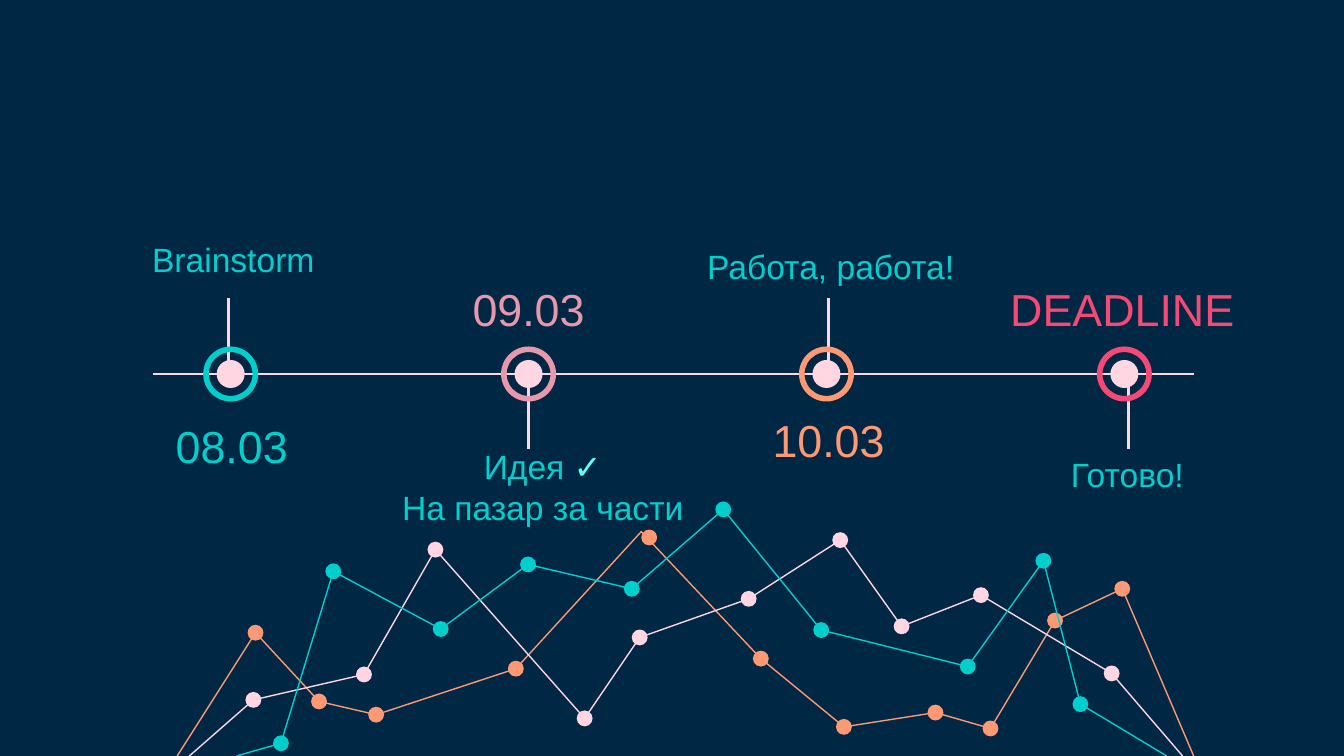
from lxml import etree
from pptx import Presentation
from pptx import util as u
from pptx.dml.color import RGBColor
from pptx.enum import shapes, text
from pptx.oxml.ns import qn


class Theme:
    navy = RGBColor.from_string("002845")
    teal = RGBColor.from_string("00CFCC")
    aqua = RGBColor.from_string("5EFFFD")
    blush = RGBColor.from_string("FFD6E1")
    rose = RGBColor.from_string("E898AC")
    orange = RGBColor.from_string("FF9973")
    red = RGBColor.from_string("F64975")
    font = "Arial"
    note_size = u.Pt(18)
    date_size = u.Pt(24)
    axis_width = u.Pt(1.5)
    trend_width = u.Pt(0.75)


TOP, MIDDLE, BOTTOM = (text.MSO_ANCHOR.TOP, text.MSO_ANCHOR.MIDDLE,
                       text.MSO_ANCHOR.BOTTOM)

# All lengths below are in centimetres.
SLIDE_W, SLIDE_H = 25.4, 14.29
AXIS_Y, AXIS_LEFT, AXIS_RIGHT = 7.07, 2.9, 22.56
FIRST_STATION, STATION_STEP = 4.36, 5.63
FIRST_STALK, STALK_STEP = 4.32, 5.67
STALK_UP, STALK_DOWN = (5.64, 6.91), (7.24, 8.48)
DOT, RING, MARKER = 0.53, 1.04, 0.3
RING_THICKNESS = 0.102
INSET = 0.25

# Each trend: colour, where it meets the bottom edge, and its points.
TRENDS = [
    (Theme.orange, (3.35, 22.56),
     [(4.83, 11.96), (6.03, 13.26), (7.11, 13.51), (9.75, 12.64),
      (12.12, 10.05), (14.38, 12.45), (15.95, 13.74), (17.68, 13.47),
      (18.72, 13.77), (19.94, 11.73), (21.21, 11.13)]),
    (Theme.blush, (3.58, 22.35),
     [(4.79, 13.23), (6.88, 12.75), (8.23, 10.39), (11.05, 13.58),
      (12.09, 12.05), (14.15, 11.32), (15.88, 10.21), (17.04, 11.84),
      (18.54, 11.25), (21.01, 12.73)]),
    (Theme.teal, (4.47, 22.05),
     [(5.31, 14.05), (6.3, 10.8), (8.33, 11.89), (9.98, 10.67),
      (11.94, 11.13), (13.67, 9.63), (15.52, 11.91), (18.29, 12.6),
      (19.72, 10.6), (20.42, 13.31)]),
]
# The marker of the orange peak sits beside its line.
SHIFTED_MARKERS = {(12.12, 10.05): (12.27, 10.16)}

STATIONS = [
    (Theme.teal, STALK_UP),
    (Theme.rose, STALK_DOWN),
    (Theme.orange, STALK_UP),
    (Theme.red, STALK_DOWN),
]

# Each label: box, anchor, size, lines of (words, colour, bold).
LABELS = [
    ((2.11, 4.27, 4.6, 1.47), TOP, Theme.note_size,
     [[("Brainstorm", Theme.teal, False)]]),
    ((18.69, 8.41, 5.23, 1.19), BOTTOM, Theme.note_size,
     [[("Готово!", Theme.teal, False)]]),
    ((7.11, 9.02, 6.3, 1.19), BOTTOM, Theme.note_size,
     [[("Идея ", Theme.teal, False), ("✓", Theme.aqua, True)],
      [("На пазар за части", Theme.teal, False)]]),
    ((12.73, 4.39, 5.94, 1.19), TOP, Theme.note_size,
     [[("Работа, работа!", Theme.teal, False)]]),
    ((2.59, 7.82, 3.58, 1.19), MIDDLE, Theme.date_size,
     [[("08.03", Theme.teal, False)]]),
    ((8.2, 5.23, 3.58, 1.19), MIDDLE, Theme.date_size,
     [[("09.03", Theme.rose, False)]]),
    ((13.87, 7.72, 3.58, 1.19), MIDDLE, Theme.date_size,
     [[("10.03", Theme.orange, False)]]),
    ((18.62, 5.23, 5.18, 1.19), MIDDLE, Theme.date_size,
     [[("DEADLINE", Theme.red, False)]]),
]


def cm(values):
    return [u.Cm(value) for value in values]


def add_round(parent, kind, center, size, color):
    """Add a filled circle or ring around a centre point."""
    x, y = center
    shape = parent.add_shape(
        kind, *cm((x - size / 2, y - size / 2, size, size)))
    shape.shadow.inherit = False
    shape.fill.solid()
    shape.fill.fore_color.rgb = color
    shape.line.fill.background()
    return shape


def add_trend(page, color, edges, points):
    left, right = edges
    corners = [(left, SLIDE_H), *points, (right, SLIDE_H)]
    start, *rest = [cm(corner) for corner in corners]
    builder = page.shapes.build_freeform(*start)
    builder.add_line_segments(rest, close=False)
    trend = builder.convert_to_shape()
    trend.shadow.inherit = False
    trend.fill.background()
    trend.line.color.rgb = color
    trend.line.width = Theme.trend_width
    for point in points:
        add_round(page.shapes, shapes.MSO_SHAPE.OVAL,
                  SHIFTED_MARKERS.get(point, point), MARKER, color)


def add_axis_line(page, start, end):
    line = page.shapes.add_connector(
        shapes.MSO_CONNECTOR.STRAIGHT, *cm((*start, *end)))
    line.line.color.rgb = Theme.blush
    line.line.width = Theme.axis_width
    etree.SubElement(line._element.spPr, qn("a:effectLst"))


def add_station(page, center, color):
    station = page.shapes.add_group_shape().shapes
    add_round(station, shapes.MSO_SHAPE.OVAL, center, DOT, Theme.blush)
    ring = add_round(station, shapes.MSO_SHAPE.DONUT, center, RING, color)
    ring.adjustments[0] = RING_THICKNESS


def add_label(page, place, anchor, size, lines):
    frame = page.shapes.add_textbox(*cm(place)).text_frame
    frame.word_wrap = True
    frame.vertical_anchor = anchor
    frame.margin_left = frame.margin_right = u.Cm(INSET)
    frame.margin_top = frame.margin_bottom = u.Cm(INSET)
    para = frame.paragraphs[0]
    para.alignment = text.PP_ALIGN.CENTER
    para.font.name = Theme.font
    para.font.size = size
    for number, line in enumerate(lines):
        if number:
            para.add_line_break()
        for words, color, bold in line:
            span = para.add_run()
            span.text = words
            span.font.color.rgb = color
            span.font.bold = bold


def main():
    deck = Presentation()
    deck.slide_width, deck.slide_height = cm((SLIDE_W, SLIDE_H))
    page = deck.slides.add_slide(deck.slide_layouts[6])
    page.background.fill.solid()
    page.background.fill.fore_color.rgb = Theme.navy

    for trend in TRENDS:
        add_trend(page, *trend)
    for index, (_, (top, bottom)) in enumerate(STATIONS):
        x = FIRST_STALK + index * STALK_STEP
        add_axis_line(page, (x, top), (x, bottom))
    add_axis_line(page, (AXIS_LEFT, AXIS_Y), (AXIS_RIGHT, AXIS_Y))
    for index, (color, _) in enumerate(STATIONS):
        center = (FIRST_STATION + index * STATION_STEP, AXIS_Y)
        add_station(page, center, color)
    for label in LABELS:
        add_label(page, *label)
    deck.save("out.pptx")


if __name__ == "__main__":
    main()
